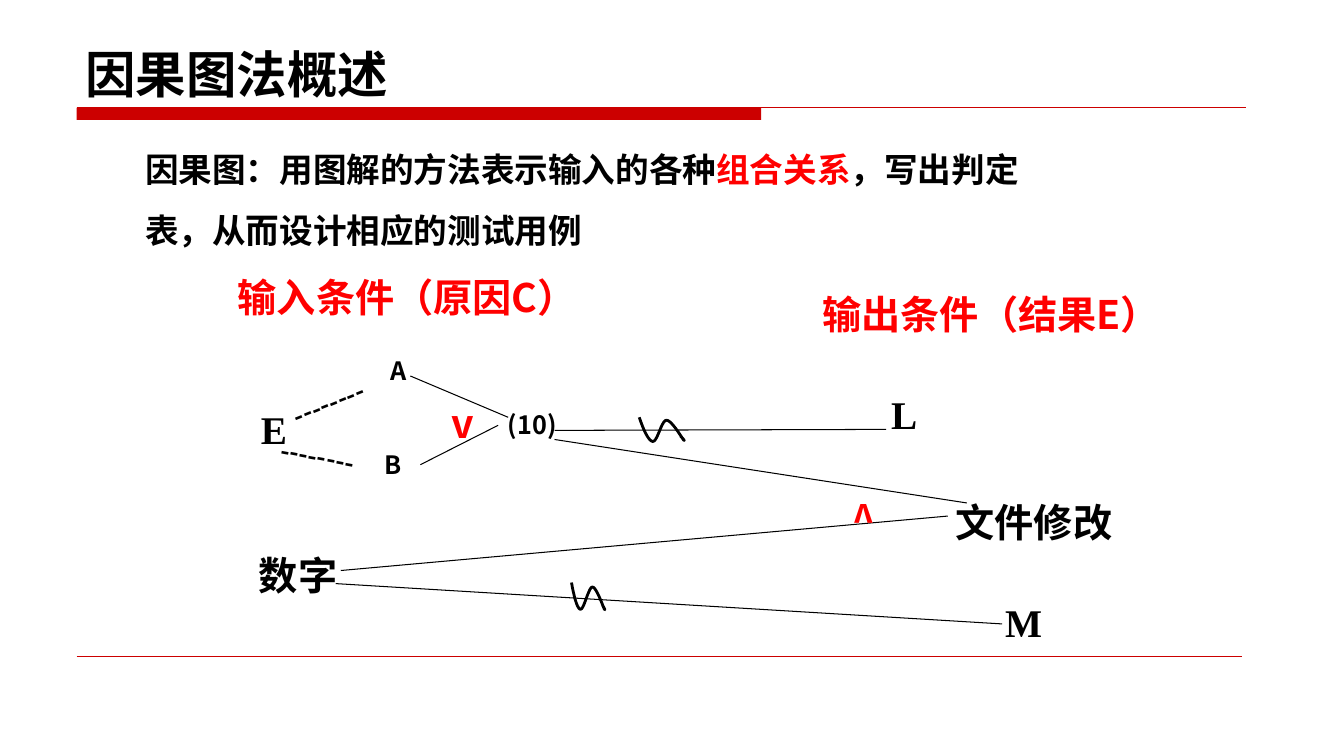
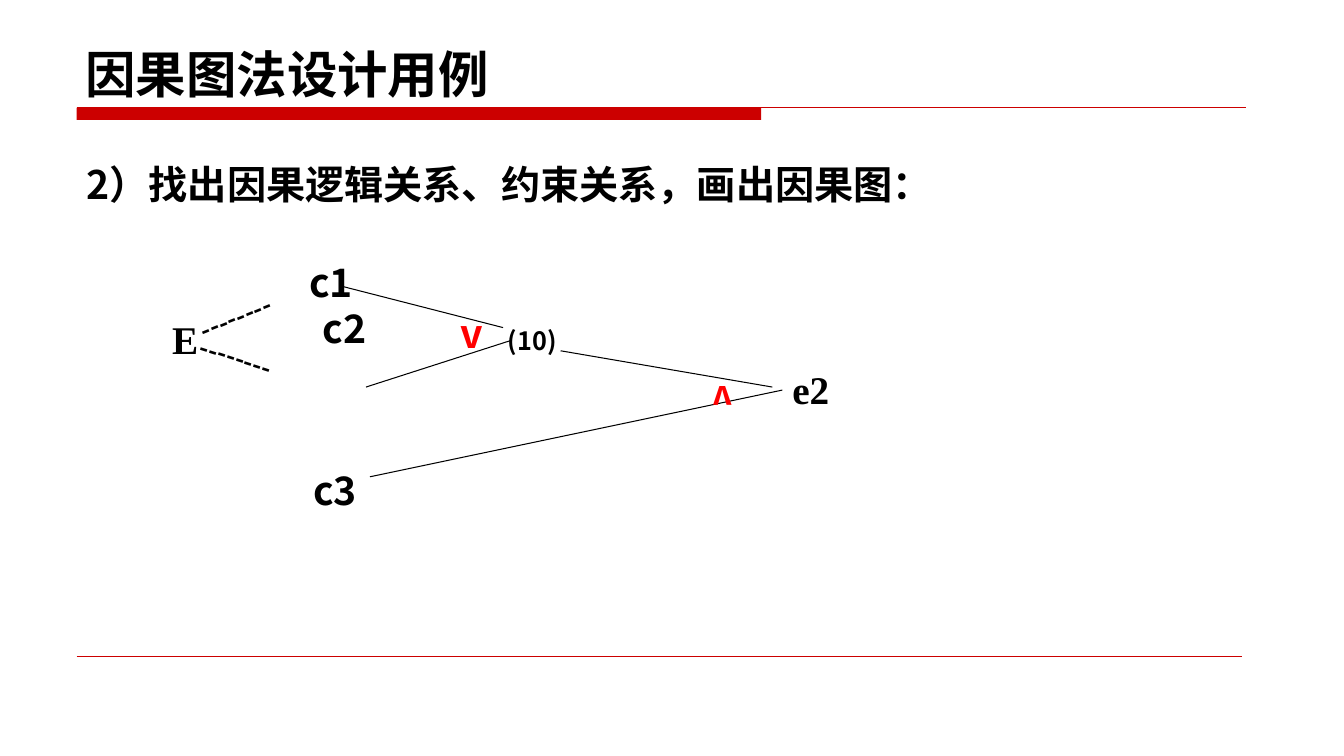
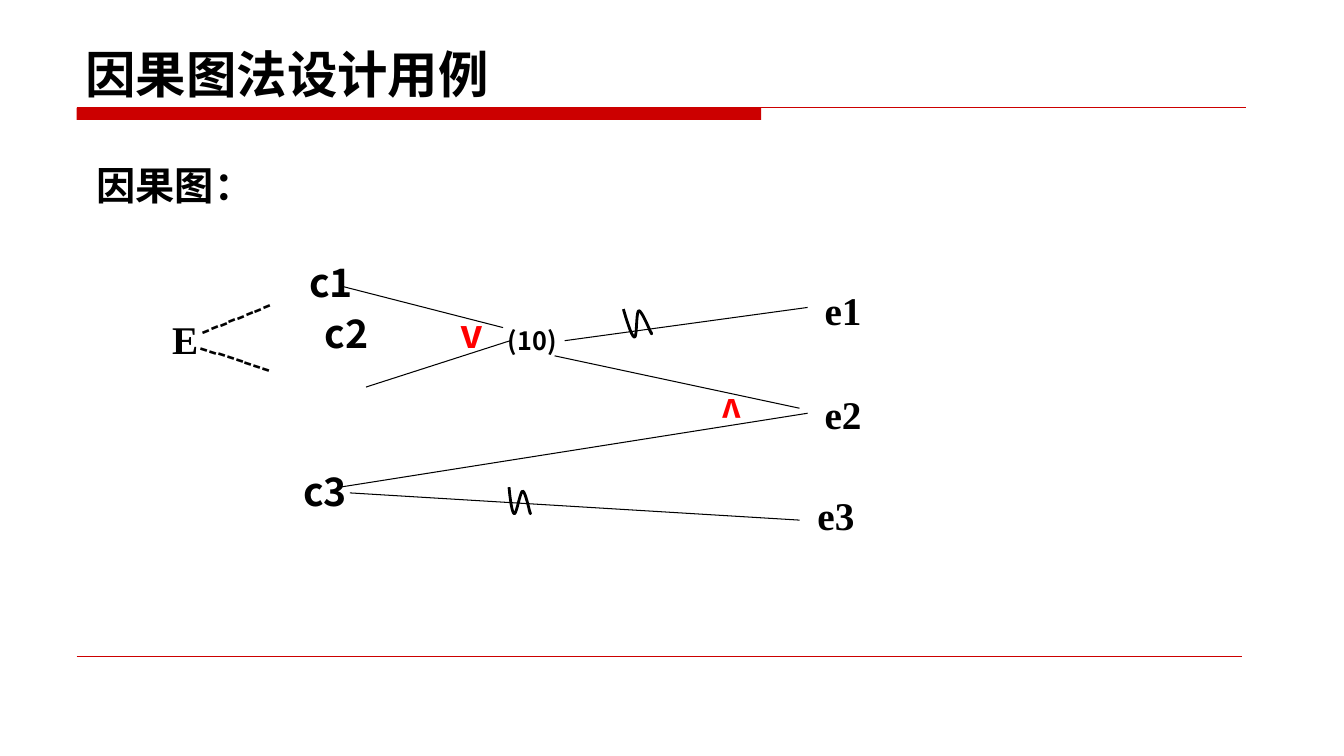
"""Three slides on the cause-effect graph method."""
from lxml.etree import SubElement
from pptx import Presentation
from pptx.dml.color import RGBColor
from pptx.enum.shapes import MSO_CONNECTOR, MSO_SHAPE
from pptx.enum.text import MSO_ANCHOR
from pptx.oxml.ns import qn
from pptx.util import Inches, Pt

COLORS = {"black": "000000", "red": "FF0000", "band": "CC0000"}
SANS, SERIF = "Noto Sans CJK SC", "Times New Roman"
STYLES = {
    "title": {"size": 36, "h": 0.79, "anchor": MSO_ANCHOR.BOTTOM},
    "lead": {"size": 24, "h": 1.14, "spacing": 1.5},
    "body": {"size": 28, "h": 4.67, "spacing": 1.5},
    "heading": {"size": 28, "color": "red"},
    "node": {"size": 28},
    "small": {"size": 18, "h": 0.4},
    "serif": {"size": 28, "font": SERIF},
    "or": {"size": 28, "color": "red"},
    "and": {"size": 24, "h": 0.5, "color": "red", "rotation": 180},
}

SHARED_LABELS = [
    ("c1", 2.97, 2.51, 0.66, "node"),
    ("(10)", 4.94, 3.18, 0.7, "small"),
    ("v", 4.47, 3.02, 0.42, "or"),
    ("E", 1.61, 3.08, 0.65, "serif"),
]
SHARED_LINKS = [(3.39, 2.84, 4.99, 3.25), (3.63, 3.84, 5.06, 3.38)]
SHARED_DASHES = [(1.84, 2.79, 1.76, 338.1), (1.86, 3.43, 1.51, 17.7)]

SLIDES = [
    {
        "title": "因果图法概述",
        "labels": [
            ([("因果图：用图解的方法表示输入的各种", "black"),
              ("组合关系", "red"),
              ("，写出判定表，从而设计相应的测试用例", "black")],
             1.34, 1.23, 9.16, "lead"),
            ("输入条件（原因C）", 2.26, 2.66, 3.86, "heading"),
            ("输出条件（结果E）", 8.06, 2.83, 3.6, "heading"),
            ("A", 3.78, 3.48, 0.66, "small"),
            ("B", 3.72, 4.41, 0.66, "small"),
            ("(10)", 4.94, 4.01, 0.7, "small"),
            ("v", 4.38, 3.91, 0.42, "or"),
            ("v", 8.01, 4.89, 0.75, "and"),
            ("E", 2.49, 3.97, 0.65, "serif"),
            ("L", 8.74, 3.82, 0.94, "serif"),
            ("M", 9.87, 5.89, 0.94, "serif"),
            ("数字", 2.47, 5.42, 1.3, "node"),
            ("文件修改", 9.38, 4.89, 2.12, "node"),
        ],
        "links": [
            (4.07, 3.73, 5.04, 4.14), (4.17, 4.61, 4.94, 4.22),
            (5.5, 4.27, 8.79, 4.26), (5.5, 4.36, 9.59, 4.99),
            (3.38, 5.66, 9.4, 5.12), (3.33, 5.79, 9.94, 6.19),
        ],
        "dashes": [(2.78, 3.73, 1.3, 338.1), (2.68, 4.36, 1.3, 10.8)],
        "waves": [(6.34, 4.14, 0.45, 0.24, 0), (5.66, 5.79, 0.35, 0.26, 3.6)],
    },
    {
        "title": "因果图法设计用例",
        "labels": SHARED_LABELS + [
            ("2）找出因果逻辑关系、约束关系，画出因果图：", 0.76, 1.31, 11.67, "body"),
            ("c2", 3.1, 2.97, 0.72, "node"),
            ("c3", 3.01, 4.58, 1.3, "node"),
            ("v", 6.61, 3.72, 0.75, "and"),
            ("e2", 7.76, 3.58, 0.94, "serif"),
        ],
        "links": SHARED_LINKS + [(5.56, 3.48, 7.66, 3.84), (3.67, 4.73, 7.76, 3.87)],
        "dashes": SHARED_DASHES,
        "waves": [],
    },
    {
        "title": "因果图法设计用例",
        "labels": SHARED_LABELS + [
            ("因果图：", 0.86, 1.32, 11.67, "body"),
            ("c2", 3.12, 3.02, 0.72, "node"),
            ("c3", 2.91, 4.59, 1.3, "node"),
            ("v", 6.7, 3.85, 0.75, "and"),
            ("e1", 8.08, 2.79, 0.94, "serif"),
            ("e2", 8.08, 3.82, 0.94, "serif"),
            ("e3", 8.01, 4.83, 0.94, "serif"),
        ],
        "links": SHARED_LINKS + [
            (5.6, 3.38, 8.01, 3.05), (5.5, 3.53, 7.93, 4.05),
            (3.39, 4.83, 8.01, 4.1), (3.47, 4.89, 7.93, 5.16),
        ],
        "dashes": SHARED_DASHES,
        "waves": [(6.2, 3.05, 0.25, 0.29, 352.9), (5.04, 4.84, 0.23, 0.26, 3.6)],
    },
]

WAVE = [
    (0, 0), (0.09, 0.5), (0.2, 0.98), (0.3, 1),
    (0.4, 1.02), (0.49, 0.12), (0.6, 0.12),
    (0.71, 0.12), (0.92, 0.79), (0.97, 0.92),
    (1.03, 1.04), (0.95, 0.83), (0.91, 0.79),
]
STEPS = 10


def rgb(name):
    return RGBColor.from_string(COLORS[name])


def add_text(s, text, x, y, w, h=0.57, size=28, font=SANS, color="black",
             anchor=MSO_ANCHOR.TOP, spacing=None, rotation=0):
    sp = s.shapes.add_textbox(Inches(x), Inches(y), Inches(w), Inches(h))
    sp.rotation = rotation
    tf = sp.text_frame
    tf.word_wrap = True
    tf.vertical_anchor = anchor
    p = tf.paragraphs[0]
    p.line_spacing = spacing
    for part, tone in [(text, color)] if isinstance(text, str) else text:
        r = p.add_run()
        r.text = part
        r.font.size, r.font.bold, r.font.name = Pt(size), True, font
        r.font.color.rgb = rgb(tone)
        SubElement(r.font._element, qn("a:ea"), typeface=font)


def add_line(s, x1, y1, x2, y2, color="black", width=0.75):
    sp = s.shapes.add_connector(MSO_CONNECTOR.STRAIGHT, Inches(x1), Inches(y1),
                                Inches(x2), Inches(y2))
    sp.line.color.rgb = rgb(color)
    sp.line.width = Pt(width)
    SubElement(sp._element.spPr, qn("a:effectLst"))


def bezier(a, b, c, d, t):
    u = 1 - t
    return tuple(u**3 * i + 3 * u * u * t * j + 3 * u * t * t * k + t**3 * m
                 for i, j, k, m in zip(a, b, c, d))


def add_wave(s, x, y, w, h, rotation):
    pts = [bezier(*WAVE[i:i + 4], n / STEPS)
           for i in range(0, len(WAVE) - 1, 3) for n in range(1, STEPS + 1)]
    fb = s.shapes.build_freeform(Inches(x), Inches(y))
    fb.add_line_segments([(Inches(x + w * i), Inches(y + h * j)) for i, j in pts],
                         close=False)
    sp = fb.convert_to_shape()
    sp.rotation = rotation
    sp.shadow.inherit = False
    sp.fill.background()
    sp.line.color.rgb = rgb("black")
    sp.line.width = Pt(2)


def add_frame(s, title):
    band = s.shapes.add_shape(MSO_SHAPE.RECTANGLE, Inches(0.76), Inches(1.07),
                              Inches(6.79), Inches(0.12))
    band.shadow.inherit = False
    band.fill.solid()
    band.fill.fore_color.rgb = rgb("band")
    band.line.fill.background()
    add_line(s, 0.76, 1.07, 12.36, 1.07, color="band")
    add_line(s, 0.76, 6.51, 12.32, 6.51, color="band", width=0.25)
    add_text(s, title, 0.75, 0.29, 11.67, **STYLES["title"])


def main():
    prs = Presentation()
    prs.slide_width, prs.slide_height = Inches(13.33), Inches(7.5)
    for content in SLIDES:
        s = prs.slides.add_slide(prs.slide_layouts[6])
        add_frame(s, content["title"])
        for link in content["links"]:
            add_line(s, *link)
        for wave in content["waves"]:
            add_wave(s, *wave)
        for x, y, w, rotation in content["dashes"]:
            add_text(s, "-" * 8, x, y, w, rotation=rotation, **STYLES["small"])
        for text, x, y, w, style in content["labels"]:
            add_text(s, text, x, y, w, **STYLES[style])
    prs.save("out.pptx")


if __name__ == "__main__":
    main()
